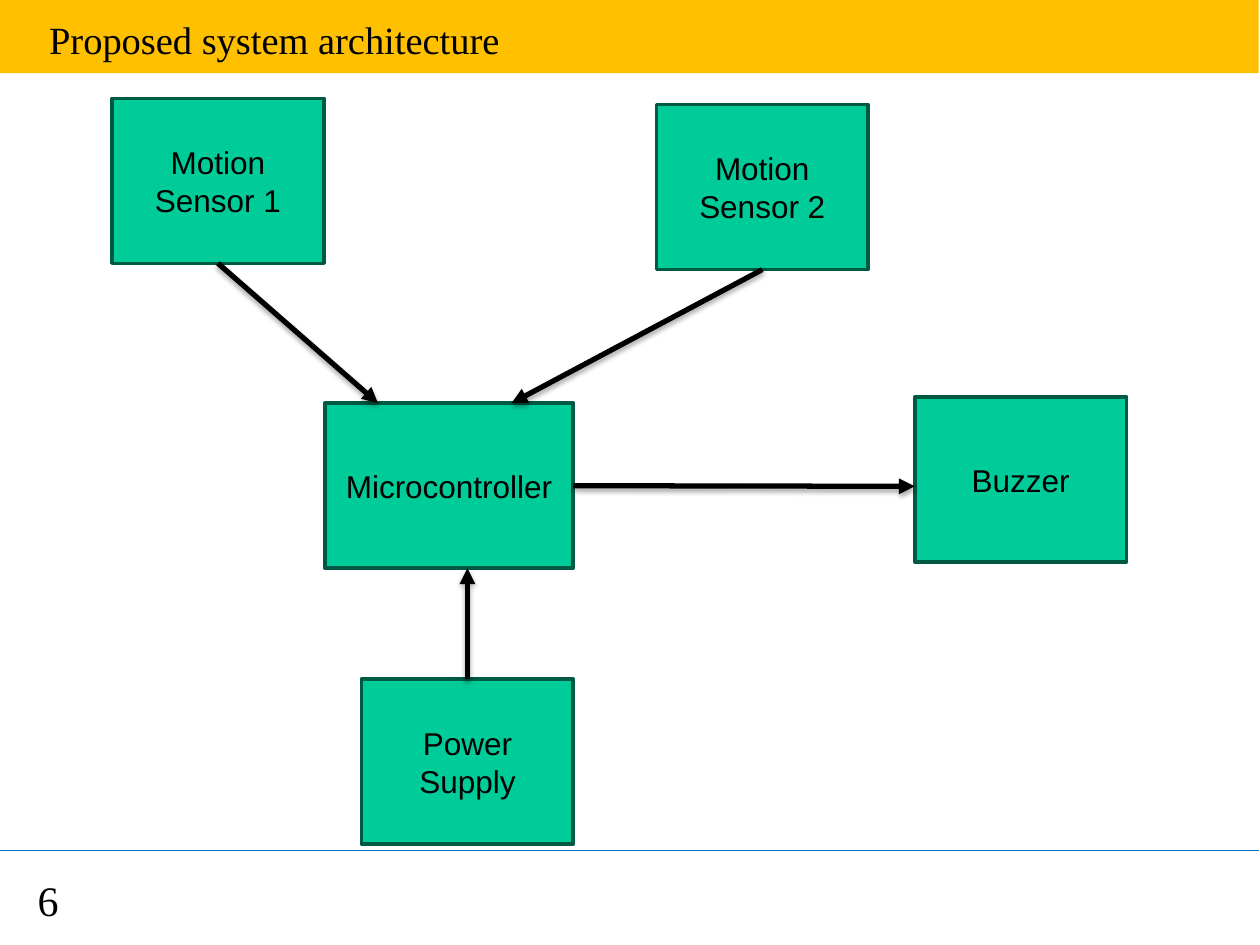
from dataclasses import dataclass

from lxml import etree
from pptx import Presentation
from pptx.dml.color import RGBColor
from pptx.enum.shapes import MSO_CONNECTOR as Connector, MSO_SHAPE as Shape
from pptx.enum.text import MSO_ANCHOR as Anchor, PP_ALIGN as Align
from pptx.oxml import parse_xml
from pptx.oxml.ns import nsdecls, qn
from pptx.util import Inches, Pt


@dataclass(frozen=True)
class Theme:
    text: RGBColor = RGBColor(0, 0, 0)
    bar: RGBColor = RGBColor.from_string("FFC000")
    rule: RGBColor = RGBColor.from_string("0070C0")
    box: RGBColor = RGBColor.from_string("00CC99")
    border: RGBColor = RGBColor.from_string("005943")
    serif: str = "Times New Roman"
    sans: str = "Arial"
    title_size: int = 22
    number_size: int = 24
    box_size: int = 18


THEME = Theme()
BOX_W, BOX_H = 1.68, 1.31
TOP, BOTTOM, RIGHT = 0, 2, 3


def style(p, font, size, align):
    p.font.name, p.font.size = font, Pt(size)
    p.font.color.rgb = THEME.text
    p.alignment = align


def place(sp, left, top, width, height):
    sp.left, sp.top = Inches(left), Inches(top)
    sp.width, sp.height = Inches(width), Inches(height)


def add_rect(slide, left, top, width, height, fill):
    sp = slide.shapes.add_shape(
        Shape.RECTANGLE, Inches(left), Inches(top), Inches(width), Inches(height)
    )
    sp.shadow.inherit = False
    sp.fill.solid()
    sp.fill.fore_color.rgb = fill
    sp.line.fill.background()
    return sp


def add_box(slide, text, left, top, width=BOX_W):
    sp = add_rect(slide, left, top, width, BOX_H, THEME.box)
    sp.line.color.rgb, sp.line.width = THEME.border, Pt(2)
    tf = sp.text_frame
    tf.word_wrap, tf.vertical_anchor = True, Anchor.MIDDLE
    tf.text = text
    for p in tf.paragraphs:
        style(p, THEME.sans, THEME.box_size, Align.CENTER)
    return sp


def add_line(slide, start, end, color, width):
    line = slide.shapes.add_connector(
        Connector.STRAIGHT, *(Inches(v) for v in (*start, *end))
    )
    line.line.color.rgb, line.line.width = color, Pt(width)
    effects = etree.SubElement(line._element.spPr, qn("a:effectLst"))
    return line, effects


def add_arrow(slide, source, site, end):
    line, effects = add_line(slide, (0, 0), end, THEME.text, 3)
    line.begin_connect(source, site)
    etree.SubElement(line.line._get_or_add_ln(), qn("a:tailEnd"), type="triangle")
    effects.append(parse_xml(
        f'<a:outerShdw {nsdecls("a")} blurRad="{Pt(3.1)}" dist="{Pt(1.8)}" '
        'dir="5400000" rotWithShape="0"><a:srgbClr val="000000">'
        '<a:alpha val="35000"/></a:srgbClr></a:outerShdw>'
    ))


def set_title(slide, text):
    title = slide.shapes.title
    place(title, 0.39, -0.16, 8.99, 0.94)
    tf = title.text_frame
    tf.text = text
    tf.word_wrap, tf.vertical_anchor = True, Anchor.MIDDLE
    tf.margin_left = tf.margin_top = tf.margin_right = tf.margin_bottom = 0
    p = tf.paragraphs[0]
    style(p, THEME.serif, THEME.title_size, Align.JUSTIFY)
    p.space_before = Pt(14.2)


def add_number(slide, text):
    sp = slide.shapes.add_textbox(
        Inches(0.2), Inches(6.89), Inches(4.19), Inches(0.47)
    )
    tf = sp.text_frame
    tf.word_wrap = True
    tf.text = text
    style(tf.paragraphs[0], THEME.serif, THEME.number_size, Align.LEFT)


def main():
    prs = Presentation()
    prs.slide_width, prs.slide_height = Inches(10), Inches(7.5)
    slide = prs.slides.add_slide(prs.slide_layouts[5])

    bar = add_rect(slide, 0, -0.16, 9.99, 0.74, THEME.bar)
    slide.shapes.title._element.addprevious(bar._element)
    set_title(slide, "Proposed system architecture")
    add_line(slide, (0, 6.75), (9.99, 6.75), THEME.rule, 0.75)
    add_number(slide, "6")

    controller = add_box(slide, "Microcontroller", 2.58, 3.2, 1.97)
    add_box(slide, "Buzzer", 7.26, 3.15)
    power = add_box(slide, "Power Supply", 2.87, 5.39)
    sensor_1 = add_box(slide, "Motion\nSensor 1", 0.89, 0.78)
    sensor_2 = add_box(slide, "Motion\nSensor 2", 5.21, 0.83)

    add_arrow(slide, sensor_1, BOTTOM, (3, 3.2))
    add_arrow(slide, sensor_2, BOTTOM, (4.06, 3.2))
    add_arrow(slide, controller, RIGHT, (7.26, 3.86))
    add_arrow(slide, power, TOP, (3.71, 4.51))

    prs.save("out.pptx")


if __name__ == "__main__":
    main()
